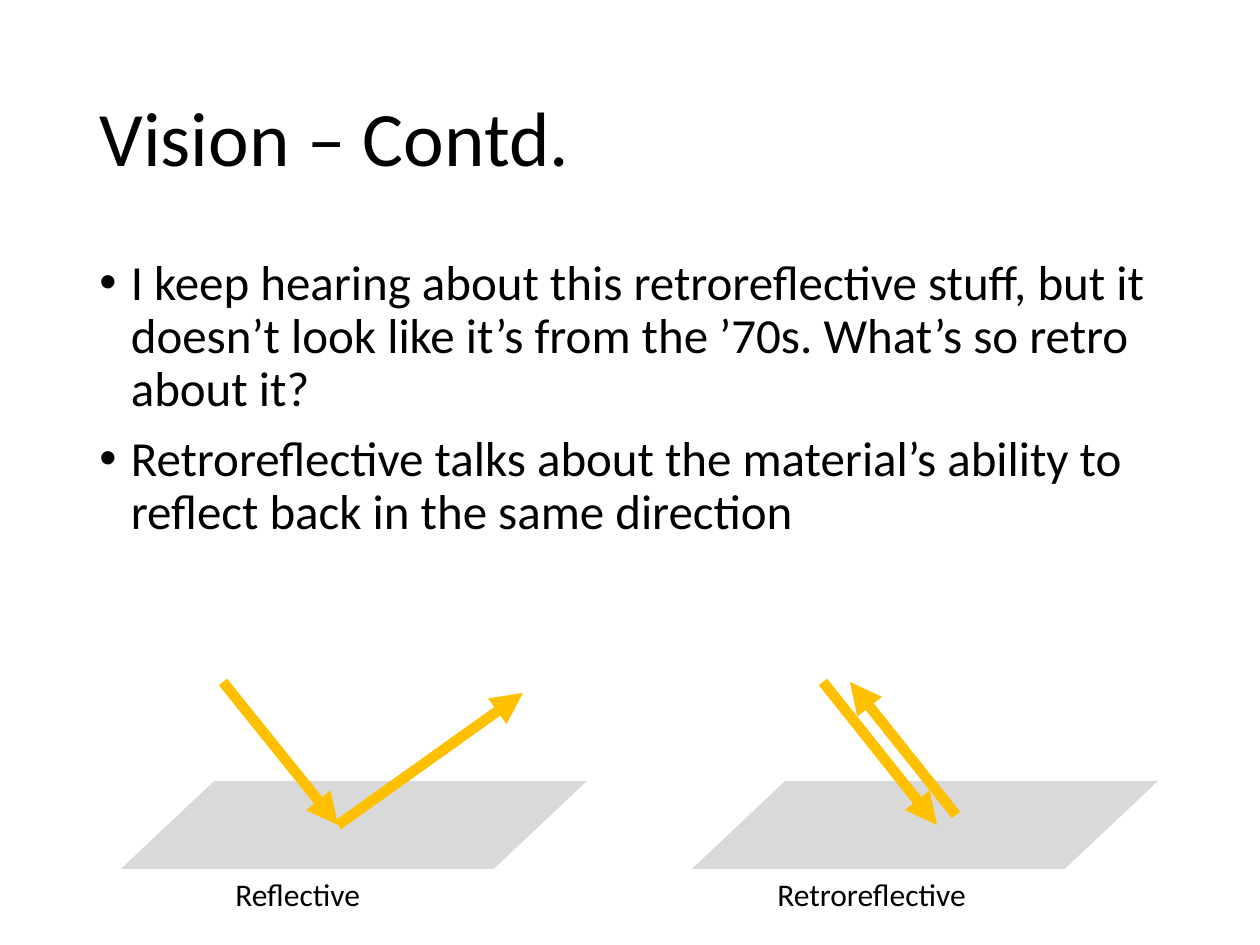
from lxml import etree
from pptx import Presentation, util as u
from pptx.dml.color import RGBColor
from pptx.enum import shapes, text
from pptx.oxml.ns import qn

PX_PER_INCH = 126
FONT = "Calibri"
BLACK, GREY, AMBER = "000000", "D9D9D9", "FFC000"


def px(length):
    """Turn whole pixels into EMU."""
    return u.Emu(round(length * u.Inches(1) / PX_PER_INCH))


def colour(value):
    """Turn a hex string into a colour."""
    return RGBColor.from_string(value)


def place(shape, left, top, width, height):
    """Set the position and size of a shape in pixels."""
    shape.left, shape.top = px(left), px(top)
    shape.width, shape.height = px(width), px(height)


def add_bullet(paragraph):
    """Give a paragraph a round bullet and a hanging indent."""
    properties = paragraph._p.get_or_add_pPr()
    indent = u.Inches(0.25)
    properties.set("marL", str(indent))
    properties.set("indent", str(-indent))
    etree.SubElement(properties, qn("a:buFont")).set("typeface", "Arial")
    etree.SubElement(properties, qn("a:buChar")).set("char", "•")


def write(shape, *lines, size=18, line_spacing=1.0, space_before=0, bullets=False,
          wrap=True, anchor=text.MSO_ANCHOR.TOP, auto_size=text.MSO_AUTO_SIZE.NONE):
    """Fill a shape with one formatted paragraph for each line."""
    frame = shape.text_frame
    frame.text = "\n".join(lines)
    frame.word_wrap = wrap
    frame.vertical_anchor = anchor
    frame.auto_size = auto_size
    for paragraph in frame.paragraphs:
        paragraph.alignment = text.PP_ALIGN.LEFT
        paragraph.line_spacing = line_spacing
        paragraph.space_before = u.Pt(space_before)
        font = paragraph.runs[0].font
        font.name, font.size = FONT, u.Pt(size)
        font.color.rgb = colour(BLACK)
        if bullets:
            add_bullet(paragraph)


def add_text(slide, box, *lines, **style):
    """Add a text box."""
    shape = slide.shapes.add_textbox(*map(px, box))
    write(shape, *lines, **style)


def add_surface(slide, left):
    """Add a slanted grey surface."""
    shape = slide.shapes.add_shape(
        shapes.MSO_SHAPE.FLOWCHART_DATA, px(left), px(781), px(466), px(88))
    shape.shadow.inherit = False
    shape.fill.solid()
    shape.fill.fore_color.rgb = colour(GREY)
    shape.line.fill.background()


def add_ray(slide, start, end):
    """Add a light ray with an arrowhead at its end."""
    ray = slide.shapes.add_connector(
        shapes.MSO_CONNECTOR.STRAIGHT, *map(px, start + end))
    ray.line.color.rgb = colour(AMBER)
    ray.line.width = u.Pt(6)
    etree.SubElement(ray.line._get_or_add_ln(), qn("a:tailEnd")).set("type", "triangle")
    etree.SubElement(ray._element.spPr, qn("a:effectLst"))


def main():
    """Build the slide about retroreflective material."""
    presentation = Presentation()
    presentation.slide_width, presentation.slide_height = u.Inches(10), u.Inches(7.5)
    slide = presentation.slides.add_slide(presentation.slide_layouts[5])

    title = slide.shapes.title
    place(title, 87, 50, 1086, 183)
    write(title, "Vision – Contd.", size=44, line_spacing=0.9,
          anchor=text.MSO_ANCHOR.MIDDLE)
    add_text(
        slide, (87, 252, 1086, 600),
        "I keep hearing about this retroreflective stuff, but it doesn’t look like "
        "it’s from the ’70s. What’s so retro about it?",
        "Retroreflective talks about the material’s ability to reflect back in the "
        "same direction",
        size=28, line_spacing=0.9, space_before=10, bullets=True)

    for left in (121, 692):
        add_surface(slide, left)
    for label, left, width in (("Reflective", 223, 152), ("Retroreflective", 765, 217)):
        add_text(slide, (left, 869, width, 50), label, wrap=False,
                 auto_size=text.MSO_AUTO_SIZE.SHAPE_TO_FIT_TEXT)

    rays = (
        ((223, 682), (338, 825)),
        ((338, 825), (523, 693)),
        ((823, 682), (937, 825)),
        ((956, 815), (850, 682)),
    )
    for start, end in rays:
        add_ray(slide, start, end)

    presentation.save("out.pptx")


if __name__ == "__main__":
    main()
